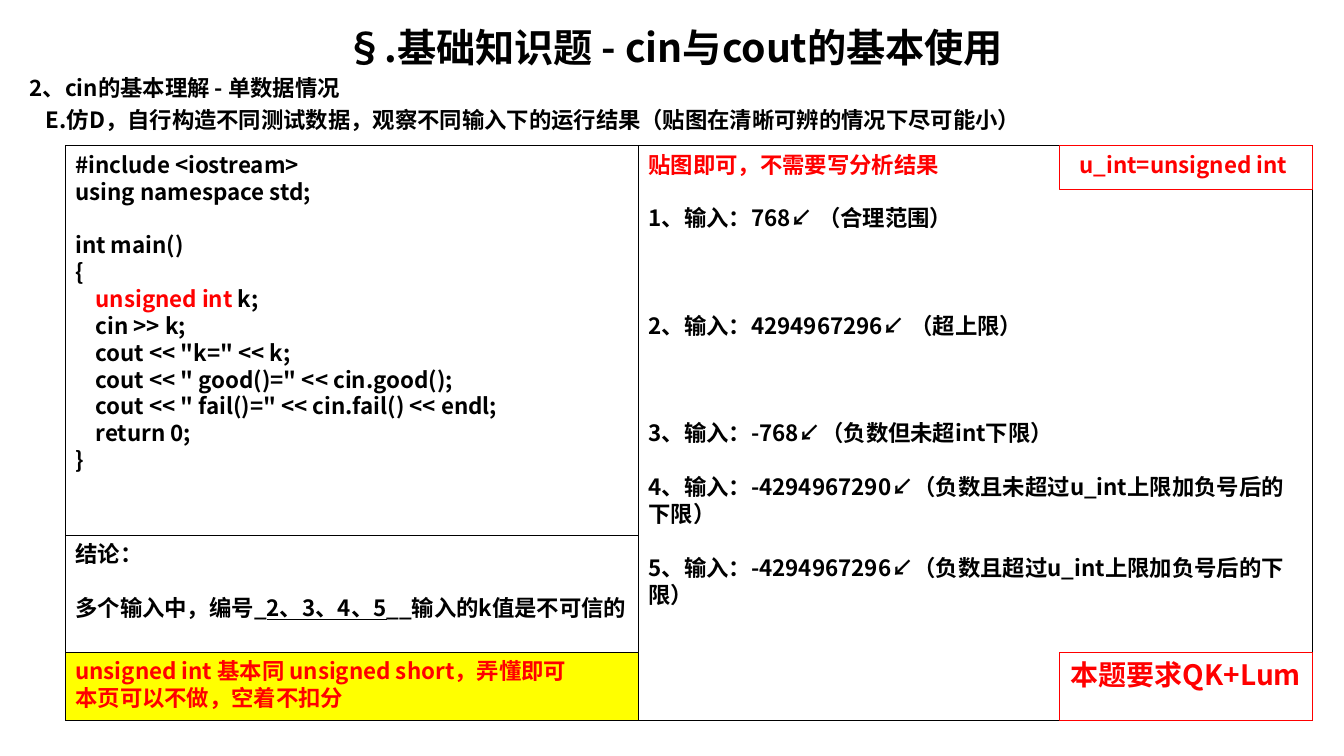
"""Build the exercise slide on reading one unsigned int with cin."""
from lxml import etree
from pptx import Presentation
from pptx.dml.color import RGBColor
from pptx.enum import shapes, text
from pptx.oxml import ns
from pptx.util import Pt

FONT = "Noto Sans CJK SC"
HEX = {"black": "000000", "red": "FF0000", "yellow": "FFFF00"}
LEFT, CENTER = text.PP_ALIGN.LEFT, text.PP_ALIGN.CENTER


def write(frame, rows, size=16, color="black", align=LEFT, unit=1.2):
    """Write rows of (gap before, parts), with the gap counted in units."""
    frame.word_wrap = True
    frame.auto_size = text.MSO_AUTO_SIZE.NONE
    frame.vertical_anchor = text.MSO_ANCHOR.TOP
    for i, (gap, *parts) in enumerate(rows):
        para = frame.add_paragraph() if i else frame.paragraphs[0]
        para.alignment = align
        para.line_spacing = Pt(size * 1.2)
        para.space_before = Pt(gap * size * unit)
        props = para._p.get_or_add_pPr()
        props.set("marL", "0")
        props.set("indent", "0")
        etree.SubElement(props, ns.qn("a:buNone"))
        font = para.font
        font.size, font.bold, font.name = Pt(size), True, FONT
        font.color.rgb = RGBColor.from_string(HEX[color])
        base = props.find(ns.qn("a:defRPr"))
        etree.SubElement(base, ns.qn("a:ea"), typeface=FONT)
        for part in parts:
            words, style = (part, None) if isinstance(part, str) else part
            run = para.add_run()
            run.text = words
            if style == "line":
                run.font.underline = True
            elif style:
                run.font.color.rgb = RGBColor.from_string(HEX[style])


def panel(x, y, w, h, rows, line="black", fill=None, **look):
    """Add a thinly framed box with text at its top."""
    box = slide.shapes.add_shape(
        shapes.MSO_SHAPE.RECTANGLE, Pt(x), Pt(y), Pt(w), Pt(h))
    box.shadow.inherit = False
    box.line.color.rgb = RGBColor.from_string(HEX[line])
    box.line.width = Pt(0.75)
    if fill:
        box.fill.solid()
        box.fill.fore_color.rgb = RGBColor.from_string(HEX[fill])
    else:
        box.fill.background()
    write(box.text_frame, rows, **look)


deck = Presentation()
deck.slide_width, deck.slide_height = Pt(960), Pt(540)
slide = deck.slides.add_slide(deck.slide_layouts[1])

title, body = slide.placeholders
title.left, title.top, title.width, title.height = Pt(14), Pt(13), Pt(935.3), Pt(41)
write(title.text_frame, [(0, "§.基础知识题 - cin与cout的基本使用")], size=28, align=CENTER)
body.left, body.top, body.width, body.height = Pt(14), Pt(49.7), Pt(935.3), Pt(52)
write(body.text_frame, [
    (0, "2、cin的基本理解 - 单数据情况"),
    (1, "E.仿D，自行构造不同测试数据，观察不同输入下的运行结果（贴图在清晰可辨的情况下尽可能小）"),
], unit=0.22)
body.text_frame.paragraphs[1]._p.pPr.set("marL", str(Pt(11.5)))

X, MID, END = 46.8, 456.3, 937.5
TOP, SUM, NOTE, BASE = 104.2, 382.3, 465.8, 514.6
TAG = 756.7

panel(X, TOP, MID - X, BASE - TOP, [
    (0, "#include <iostream>"),
    (0, "using namespace std;"),
    (1, "int main()"),
    (0, "{"),
    (0, "    ", ("unsigned int ", "red"), "k;"),
    (0, "    cin >> k;"),
    (0, '    cout << "k=" << k;'),
    (0, '    cout << " good()=" << cin.good();'),
    (0, '    cout << " fail()=" << cin.fail() << endl;'),
    (0, "    return 0;"),
    (0, "}"),
])
panel(MID, TOP, END - MID, BASE - TOP, [
    (0, ("贴图即可，不需要写分析结果", "red")),
    (1, "1、输入：768↙ （合理范围）"),
    (3, "2、输入：4294967296↙ （超上限）"),
    (3, "3、输入：-768↙（负数但未超int下限）"),
    (1, "4、输入：-4294967290↙（负数且未超过u_int上限加负号后的下限）"),
    (1, "5、输入：-4294967296↙（负数且超过u_int上限加负号后的下限）"),
])
panel(TAG, NOTE, END - TAG, BASE - NOTE, [(0, "本题要求QK+Lum")],
      line="red", size=20, color="red", align=CENTER)
panel(X, SUM, MID - X, BASE - SUM, [
    (0, "结论："),
    (1, "多个输入中，编号_", ("2、3、4、5", "line"), "__输入的k值是不可信的"),
])
panel(TAG, TOP, END - TAG, 31, [(0, "u_int=unsigned int ")],
      line="red", color="red", align=CENTER)
panel(X, NOTE, MID - X, BASE - NOTE, [
    (0, "unsigned int 基本同 unsigned short，弄懂即可"),
    (0, "本页可以不做，空着不扣分"),
], fill="yellow", color="red")

deck.save("out.pptx")
